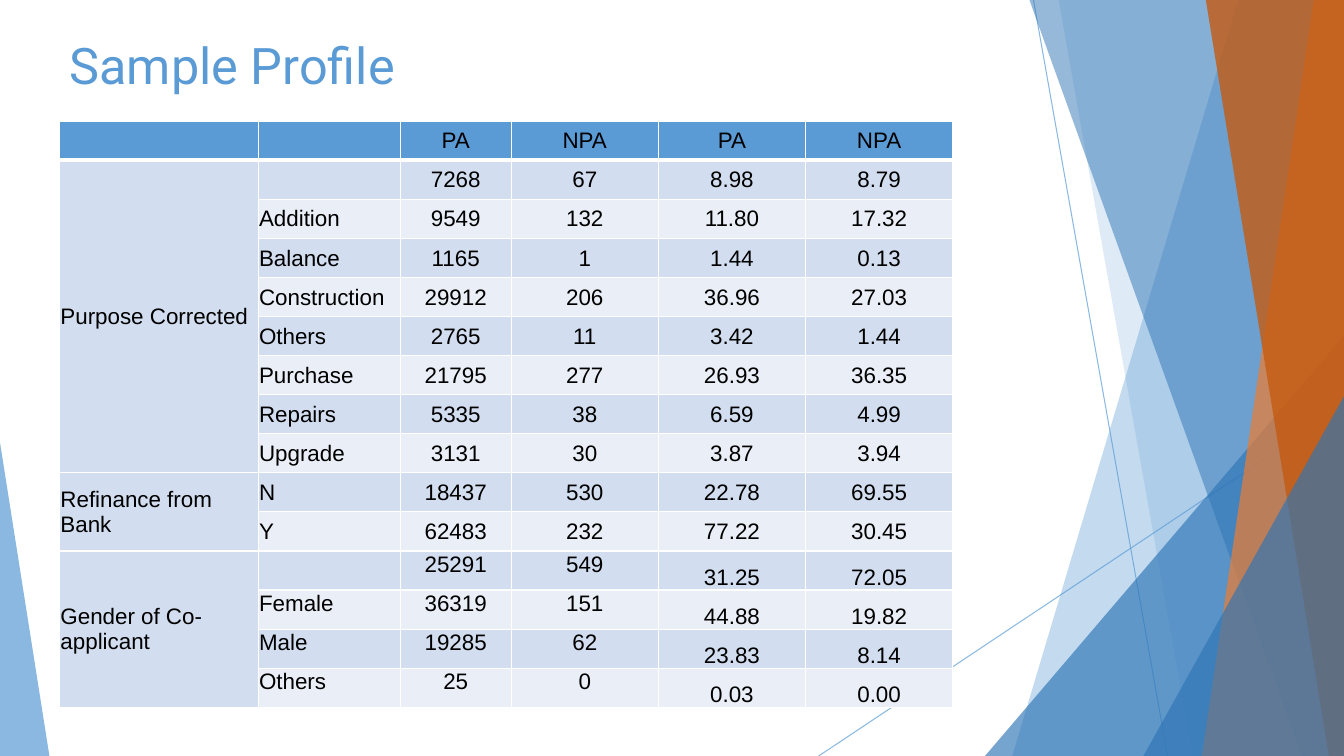
from lxml import etree
from pptx import Presentation, util as u
from pptx.dml.color import RGBColor
from pptx.enum import shapes, text
from pptx.oxml.ns import qn

BLUE = RGBColor(0x5B, 0x9B, 0xD5)
DEEP_BLUE = RGBColor(0x2E, 0x75, 0xB6)
ORANGE = RGBColor(0xED, 0x7D, 0x31)
RUST = RGBColor(0xC5, 0x5A, 0x11)
BAND_DARK = RGBColor(0xD2, 0xDE, 0xEF)
BAND_LIGHT = RGBColor(0xEA, 0xEF, 0xF7)
WHITE = RGBColor(0xFF, 0xFF, 0xFF)
BLACK = RGBColor(0, 0, 0)

# The slide is a grid of one-inch cells
COLS, ROWS, CELL = 13.33, 7.5, u.Inches(1)

HEADER = ["", "", "PA", "NPA", "PA", "NPA"]
GROUPS = [
    ("Purpose Corrected", [
        ("", "7268", "67", "8.98", "8.79"),
        ("Addition", "9549", "132", "11.80", "17.32"),
        ("Balance", "1165", "1", "1.44", "0.13"),
        ("Construction", "29912", "206", "36.96", "27.03"),
        ("Others", "2765", "11", "3.42", "1.44"),
        ("Purchase", "21795", "277", "26.93", "36.35"),
        ("Repairs", "5335", "38", "6.59", "4.99"),
        ("Upgrade", "3131", "30", "3.87", "3.94")]),
    ("Refinance from Bank", [
        ("N", "18437", "530", "22.78", "69.55"),
        ("Y", "62483", "232", "77.22", "30.45")]),
    ("Gender of Co-applicant", [
        ("", "25291", "549", "31.25", "72.05"),
        ("Female", "36319", "151", "44.88", "19.82"),
        ("Male", "19285", "62", "23.83", "8.14"),
        ("Others", "25", "0", "0.03", "0.00")]),
]
COL_WIDTHS = [1.97, 1.41, 1.1, 1.46, 1.46, 1.46]


def cells(n):
    return round(n * CELL)


def set_alpha(fill_parent, percent):
    clr = next(fill_parent.iter(qn("a:srgbClr")))
    etree.SubElement(clr, qn("a:alpha")).set("val", str(percent * 1000))


def add_run(p, words, font, size, color):
    r = p.add_run()
    r.text = words
    r.font.name, r.font.size = font, u.Pt(size)
    r.font.color.rgb = color


def paint(sp, color, alpha):
    sp.shadow.inherit = False
    sp.fill.solid()
    sp.fill.fore_color.rgb = color
    set_alpha(sp.fill._xPr, alpha)
    sp.line.fill.background()


def add_triangle(s, box, apex, color, alpha):
    sp = s.shapes.add_shape(shapes.MSO_SHAPE.ISOSCELES_TRIANGLE, *map(cells, box))
    sp.adjustments[0] = apex
    paint(sp, color, alpha)


def add_ray(s, start, end):
    line = s.shapes.add_connector(shapes.MSO_CONNECTOR.STRAIGHT, *map(cells, start + end))
    line.line.color.rgb, line.line.width = BLUE, u.Pt(0.75)
    props = line._element.spPr
    set_alpha(props, 70)
    etree.SubElement(props, qn("a:effectLst"))


def right_facets(s, x, y, w, h):
    def facet(top, bottom, color, alpha):
        pts = [(top, 0), (w, 0), (w, h), (bottom, h)]
        pts = [(cells(x + px), cells(y + py)) for px, py in pts]
        fb = s.shapes.build_freeform(*pts[0])
        fb.add_line_segments(pts[1:], close=True)
        paint(fb.convert_to_shape(), color, alpha)

    def corner(left, top, color, alpha):
        add_triangle(s, (x + left, y + top, w - left, h - top), 1, color, alpha)

    add_ray(s, (x + 2.13, y), (x + 3.46, y + h))
    add_ray(s, (x + w, y + 4.03), (x, y + h))
    facet(4.16, 1.92, BLUE, 36)
    facet(2.38, 3.71, BLUE, 20)
    corner(1.65, 3.33, DEEP_BLUE, 66)
    facet(2.09, 4.79, DEEP_BLUE, 50)
    facet(4.91, 3.8, ORANGE, 70)
    facet(3.84, 5.06, RUST, 80)
    corner(3.22, 3.93, DEEP_BLUE, 66)


def title(s, *box):
    sp = s.shapes.title
    sp.left, sp.top, sp.width, sp.height = map(cells, box)
    tf = sp.text_frame
    tf.word_wrap = True
    tf.auto_size = text.MSO_AUTO_SIZE.NONE
    tf.vertical_anchor = text.MSO_ANCHOR.TOP
    p = tf.paragraphs[0]
    p.alignment = text.PP_ALIGN.LEFT
    add_run(p, "Sample Profile", "Roboto", 36, BLUE)


def set_borders(cell, widths):
    tc_pr = cell._tc.get_or_add_tcPr()
    for side, width in zip("LRTB", widths):
        ln = etree.SubElement(tc_pr, qn("a:ln" + side), w=str(u.Pt(width)))
        fill = etree.SubElement(ln, qn("a:solidFill"))
        etree.SubElement(fill, qn("a:srgbClr"), val=str(WHITE))


def fill_cell(cell, words, color, centred, anchor, borders):
    set_borders(cell, borders)
    cell.fill.solid()
    cell.fill.fore_color.rgb = color
    cell.margin_left = cell.margin_right = cell.margin_top = cells(0.01)
    cell.margin_bottom = 0
    cell.vertical_anchor = anchor
    p = cell.text_frame.paragraphs[0]
    p.alignment = text.PP_ALIGN.CENTER if centred else text.PP_ALIGN.LEFT
    if words:
        add_run(p, words, "Arial", 16, BLACK)


def profile_table(s, *box):
    rows = [HEADER]
    for name, records in GROUPS:
        rows += [(name if i == 0 else "", *rec) for i, rec in enumerate(records)]
    tbl = s.shapes.add_table(len(rows), len(HEADER), *map(cells, box)).table
    tbl.first_row = tbl.horz_banding = False
    for col, width in zip(tbl.columns, COL_WIDTHS):
        col.width = cells(width)

    last_group = len(rows) - len(GROUPS[-1][1])
    for r, row in enumerate(rows):
        for c, words in enumerate(row):
            color = BLUE if r == 0 else BAND_DARK if r % 2 or c == 0 else BAND_LIGHT
            anchor = text.MSO_ANCHOR.MIDDLE
            if r >= last_group and c > 0:
                anchor = text.MSO_ANCHOR.TOP if c < 4 else text.MSO_ANCHOR.BOTTOM
            borders = (1, 1, 3 if r == 1 else 1, 3 if r == 0 else 1)
            fill_cell(tbl.cell(r, c), words, color, c > 1, anchor, borders)

    # Group names span their records
    first = 1
    for _, records in GROUPS:
        last = first + len(records) - 1
        tbl.cell(first, 0).merge(tbl.cell(last, 0))
        first = last + 1


prs = Presentation()
prs.slide_width, prs.slide_height = cells(COLS), cells(ROWS)
s = prs.slides.add_slide(prs.slide_layouts[5])

# Background facets
right_facets(s, 8.12, 0, COLS - 8.12, ROWS)
add_triangle(s, (0, 4.39, 0.49, ROWS - 4.39), 0, BLUE, 70)

# Content
title(s, 0.59, 0.29, 9.4, 0.91)
profile_table(s, 0.59, 1.2, sum(COL_WIDTHS), 5.82)

prs.save("out.pptx")
